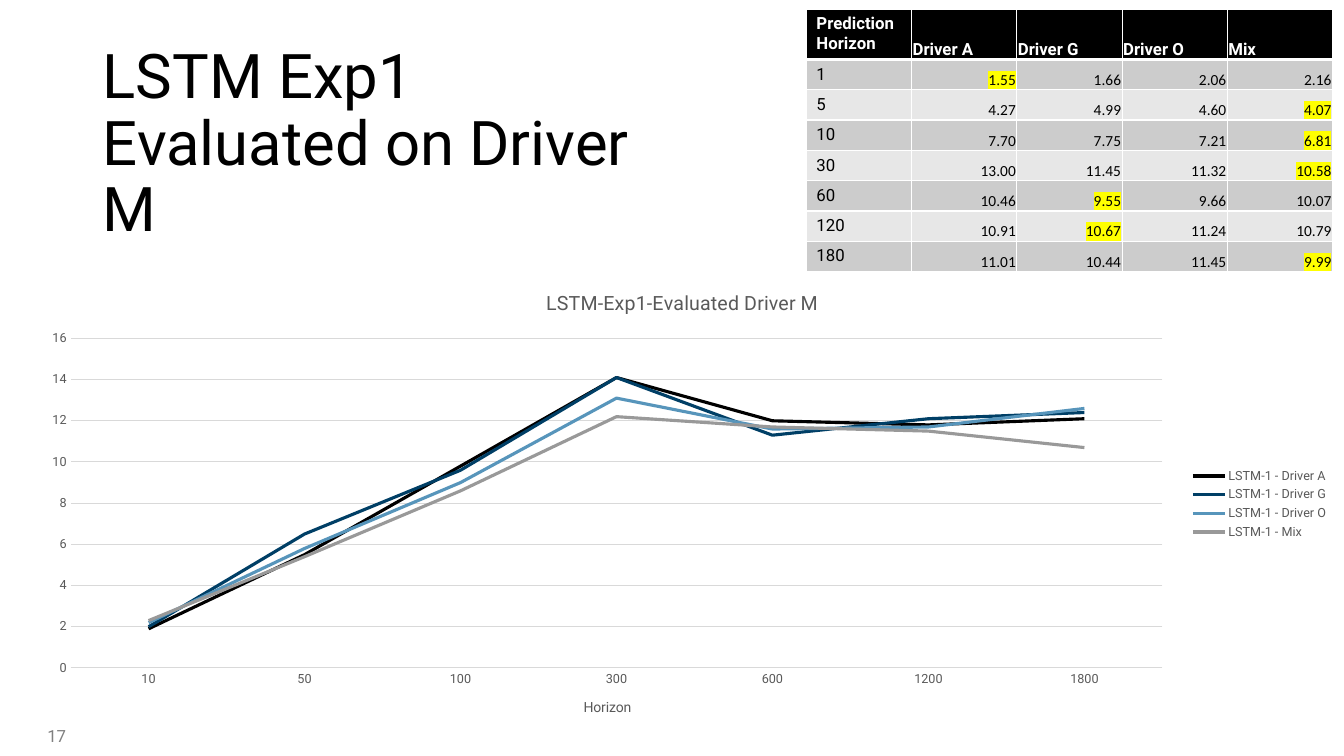
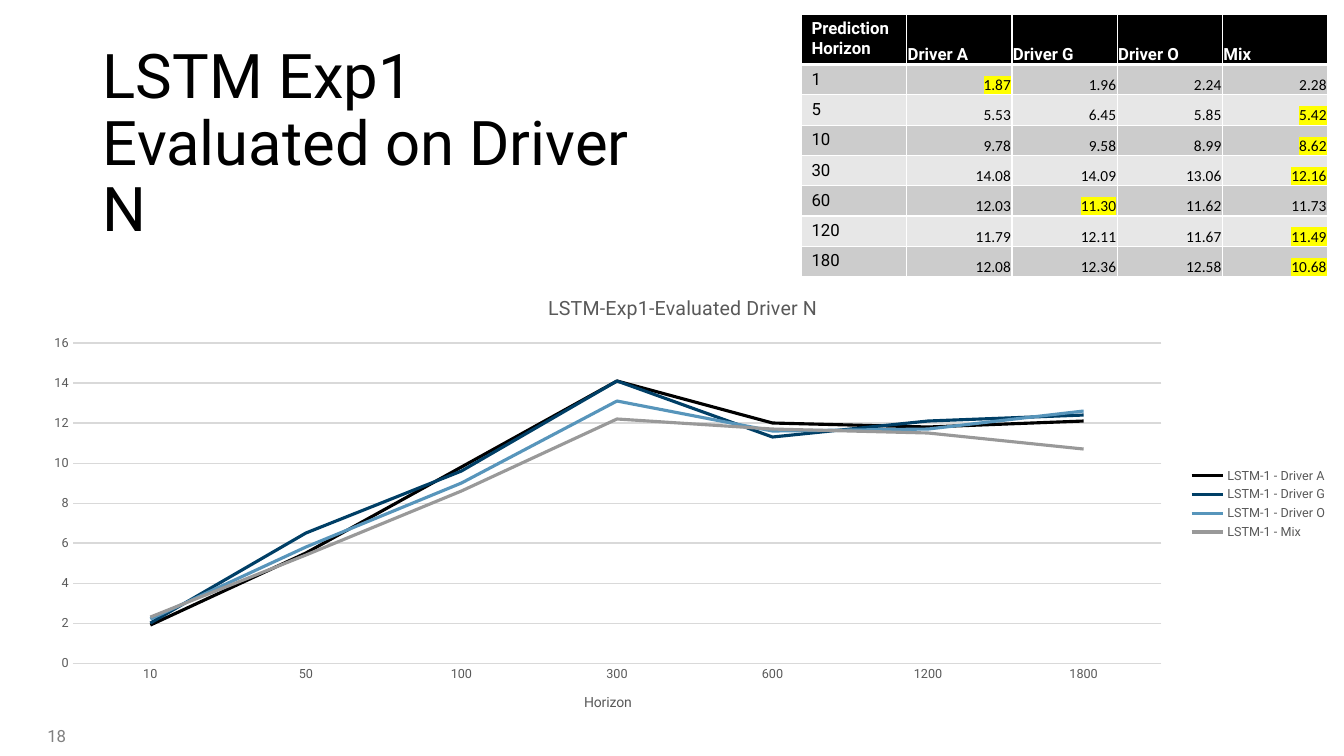
from lxml.etree import SubElement
from pptx import Presentation
from pptx.chart.data import CategoryChartData
from pptx.dml.color import RGBColor
from pptx.enum.chart import XL_CHART_TYPE, XL_LEGEND_POSITION, XL_TICK_MARK
from pptx.enum.text import MSO_ANCHOR, MSO_AUTO_SIZE, PP_ALIGN
from pptx.oxml.ns import qn
from pptx.util import Inches, Pt

BLACK = RGBColor(0x00, 0x00, 0x00)
WHITE = RGBColor(0xFF, 0xFF, 0xFF)
DARK = RGBColor(0x59, 0x59, 0x59)
GRAY = RGBColor(0x80, 0x80, 0x80)
PALE = RGBColor(0xD9, 0xD9, 0xD9)
BANDS = (RGBColor(0xE7, 0xE7, 0xE7), RGBColor(0xCC, 0xCC, 0xCC))
YELLOW = RGBColor(0xFF, 0xFF, 0x00)
LINES = (BLACK, RGBColor(0x00, 0x3F, 0x66),
         RGBColor(0x57, 0x95, 0xBB), RGBColor(0x99, 0x99, 0x99))

MODELS = ("Driver A", "Driver G", "Driver O", "Mix")
STEPS = (1, 5, 10, 30, 60, 120, 180)
ERRORS = {
    "M": ((1.55, 1.66, 2.06, 2.16),
          (4.27, 4.99, 4.60, 4.07),
          (7.70, 7.75, 7.21, 6.81),
          (13.00, 11.45, 11.32, 10.58),
          (10.46, 9.55, 9.66, 10.07),
          (10.91, 10.67, 11.24, 10.79),
          (11.01, 10.44, 11.45, 9.99)),
    "N": ((1.87, 1.96, 2.24, 2.28),
          (5.53, 6.45, 5.85, 5.42),
          (9.78, 9.58, 8.99, 8.62),
          (14.08, 14.09, 13.06, 12.16),
          (12.03, 11.30, 11.62, 11.73),
          (11.79, 12.11, 11.67, 11.49),
          (12.08, 12.36, 12.58, 10.68)),
}


def style(font, size, color, bold=False, face="Roboto"):
    font.name = face
    font.size = Pt(size)
    font.bold = bold
    font.color.rgb = color


def write(frame, text, size=12, color=BLACK, bold=False, face="Roboto",
          align=PP_ALIGN.LEFT, space=None, mark=None):
    """Fill a text frame with one formatted run; mark is a highlight colour."""
    para = frame.paragraphs[0]
    para.alignment = align
    if space:
        para.line_spacing = space
    run = para.add_run()
    run.text = text
    style(run.font, size, color, bold, face)
    if mark is not None:
        props = run.font._element
        light = SubElement(props, qn("a:highlight"))
        SubElement(light, qn("a:srgbClr"), val=str(mark))
        props.find(qn("a:solidFill")).addnext(light)


def edge(cell, **widths):
    """Draw white cell borders, given in points by side: L, R, T, B."""
    props = cell._tc.get_or_add_tcPr()
    for side, width in widths.items():
        line = SubElement(props, qn(f"a:ln{side}"), w=str(Pt(width)))
        fill = SubElement(line, qn("a:solidFill"))
        SubElement(fill, qn("a:srgbClr"), val=str(WHITE))


class Deck:
    """Slides on a grid of 100 columns by 100 rows."""

    def __init__(self):
        self.show = Presentation()
        self.show.slide_width = Inches(13.33)
        self.show.slide_height = Inches(7.5)
        self.slide = None

    def col(self, count):
        return round(self.show.slide_width * count / 100)

    def row(self, count):
        return round(self.show.slide_height * count / 100)

    def box(self, left, top, width, height):
        return self.col(left), self.row(top), self.col(width), self.row(height)

    def page(self, title, number):
        self.slide = self.show.slides.add_slide(self.show.slide_layouts[5])
        head = self.slide.shapes.title
        head.left, head.top, head.width, head.height = self.box(
            6.9, 5.33, 43.95, 19.33)
        frame = head.text_frame
        frame.word_wrap = True
        frame.auto_size = MSO_AUTO_SIZE.NONE
        frame.vertical_anchor = MSO_ANCHOR.TOP
        write(frame, title, size=44, space=0.9)

        foot = self.slide.shapes.add_textbox(*self.box(2.78, 95.33, 5.33, 4))
        foot.text_frame.word_wrap = True
        foot.text_frame.vertical_anchor = MSO_ANCHOR.MIDDLE
        write(foot.text_frame, str(number), color=GRAY)

    def cell(self, grid, row, col, text, **form):
        cell = grid.cell(row, col)
        edge(cell, L=1, R=1, T=3 if row == 1 else 1, B=1 if row else 3)
        cell.fill.solid()
        cell.fill.fore_color.rgb = BANDS[row % 2] if row else BLACK
        if col:
            cell.vertical_anchor = MSO_ANCHOR.BOTTOM
            cell.margin_left = cell.margin_right = Inches(0.01)
            cell.margin_top, cell.margin_bottom = Inches(0.01), 0
        write(cell.text_frame, text, **form)

    def table(self, left, top, rows):
        """Tabulate errors and highlight the lowest of each row."""
        grid = self.slide.shapes.add_table(
            len(rows) + 1, len(MODELS) + 1,
            *self.box(left, top, 39.15, 34.5)).table
        for line in grid.rows:
            line.height = self.row(4)
        grid.rows[0].height = self.row(6.5)
        for c, name in enumerate(("Prediction Horizon", *MODELS)):
            self.cell(grid, 0, c, name, color=WHITE, bold=True)
        for r, (step, vals) in enumerate(zip(STEPS, rows), 1):
            self.cell(grid, r, 0, str(step))
            for c, val in enumerate(vals, 1):
                self.cell(grid, r, c, f"{val:.2f}", size=11, face="Calibri",
                          align=PP_ALIGN.RIGHT,
                          mark=YELLOW if val == min(vals) else None)

    def chart(self, place, title, rows):
        data = CategoryChartData()
        data.categories = [str(step * 10) for step in STEPS]
        for name, vals in zip(MODELS, zip(*rows)):
            data.add_series(f"LSTM-1 - {name}", [round(v, 1) for v in vals])
        chart = self.slide.shapes.add_chart(
            XL_CHART_TYPE.LINE, *self.box(*place), data).chart
        style(chart.font, 10, BLACK)
        chart.has_title = True
        write(chart.chart_title.text_frame, title, size=14, color=DARK)
        chart.chart_title.include_in_layout = False

        chart.has_legend = True
        chart.legend.position = XL_LEGEND_POSITION.RIGHT
        chart.legend.include_in_layout = False
        style(chart.legend.font, 9, DARK)

        plot = chart.plots[0]
        plot.vary_by_categories = False
        for series, color in zip(plot.series, LINES):
            series.smooth = False
            series.format.line.color.rgb = color
            series.format.line.width = Pt(2.25)

        base, side = chart.category_axis, chart.value_axis
        for axis in (base, side):
            axis.major_tick_mark = axis.minor_tick_mark = XL_TICK_MARK.NONE
            style(axis.tick_labels.font, 9, DARK)
        write(base.axis_title.text_frame, "Horizon", size=10, color=DARK)
        side.minimum_scale, side.maximum_scale, side.major_unit = 0, 16, 2
        side.format.line.fill.background()
        side.has_major_gridlines = True
        for line in (base.format.line, side.major_gridlines.format.line):
            line.color.rgb = PALE
            line.width = Pt(0.75)


def main():
    deck = Deck()
    pages = (
        ("M", 17, (60, 1.2), (1.95, 35.87, 97.65, 61.6)),
        ("N", 18, (59.63, 1.87), (2.1, 36.53, 97.42, 60.27)),
    )
    for driver, number, corner, place in pages:
        deck.page(f"LSTM Exp1 Evaluated on Driver {driver}", number)
        deck.table(*corner, ERRORS[driver])
        # Both charts plot the errors of driver N.
        deck.chart(place, f"LSTM-Exp1-Evaluated Driver {driver}", ERRORS["N"])
    deck.show.save("out.pptx")


if __name__ == "__main__":
    main()
